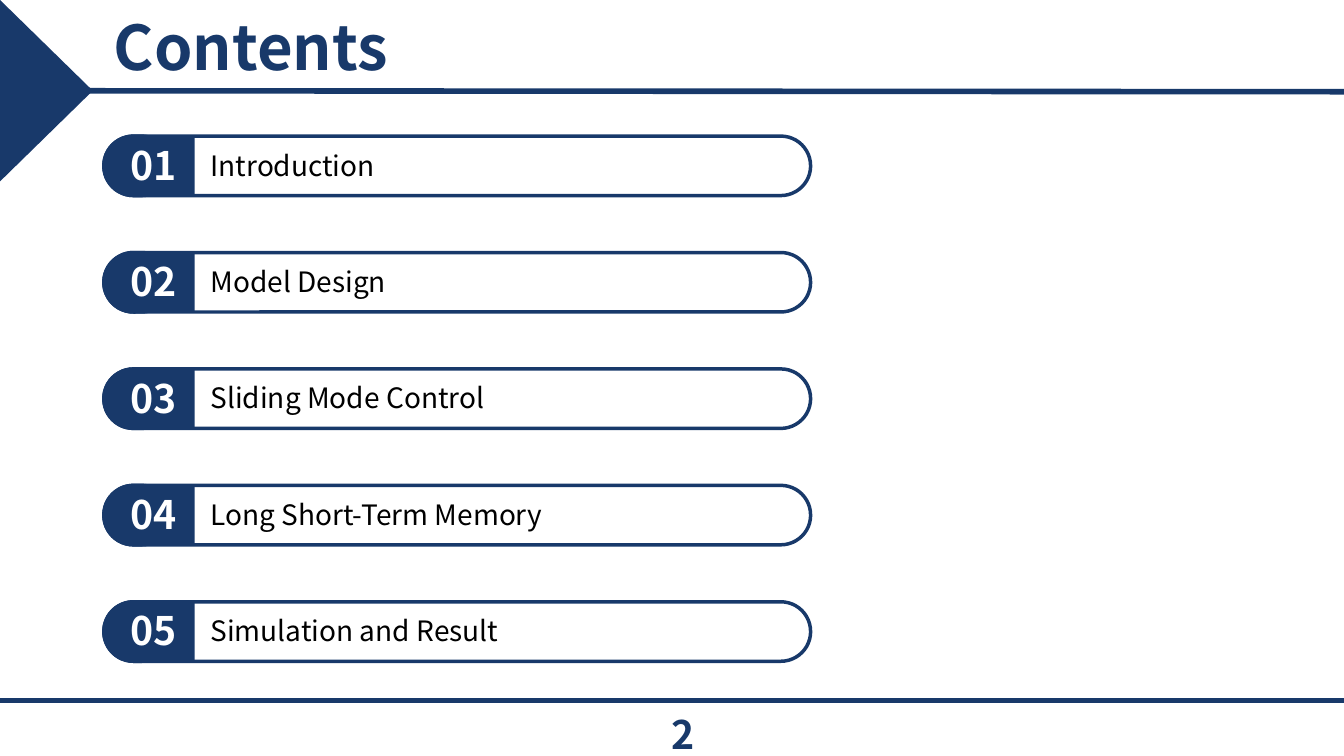
from lxml.etree import SubElement
from pptx import Presentation
from pptx.dml.color import RGBColor
from pptx.enum.shapes import MSO_CONNECTOR as Connector, MSO_SHAPE as Shape
from pptx.enum.text import MSO_ANCHOR as Anchor, MSO_AUTO_SIZE as AutoSize, PP_ALIGN as Align
from pptx.oxml.ns import qn
from pptx.util import Inches, Pt

NAVY = RGBColor(0x18, 0x39, 0x6A)
WHITE = RGBColor(0xFF, 0xFF, 0xFF)
BLACK = RGBColor(0x00, 0x00, 0x00)
FONT = "Noto Sans CJK KR"
PAGE_WIDTH, PAGE_HEIGHT = 13.33, 7.5

TOPICS = ["Introduction", "Model Design", "Sliding Mode Control",
          "Long Short-Term Memory", "Simulation and Result"]
FIRST_TOP, ROW_PITCH = 1.35, 1.155


def add_text(shapes, box, text, *, size, color=NAVY, bold=False, align=Align.LEFT,
             anchor=Anchor.TOP, wrap=True, grow=False, line_spacing=None):
    text_box = shapes.add_textbox(*map(Inches, box))
    frame = text_box.text_frame
    frame.word_wrap = wrap
    frame.vertical_anchor = anchor
    frame.auto_size = AutoSize.SHAPE_TO_FIT_TEXT if grow else AutoSize.NONE
    para = frame.paragraphs[0]
    para.alignment = align
    para.line_spacing = line_spacing
    span = para.add_run()
    span.text = text
    span.font.name = FONT
    span.font.size = Pt(size)
    span.font.bold = bold
    span.font.color.rgb = color
    fonts = span.font._element
    SubElement(fonts, qn("a:ea")).set("typeface", FONT)


def add_filled(shapes, kind, box, fill, outlined=False):
    shape = shapes.add_shape(kind, *map(Inches, box))
    shape.shadow.inherit = False
    shape.fill.solid()
    shape.fill.fore_color.rgb = fill
    if outlined:
        shape.line.color.rgb = NAVY
        shape.line.width = Pt(2.5)
    else:
        shape.line.fill.background()
    return shape


def add_rule(shapes, start_y, end_y):
    """Draw a navy line across the whole page."""
    rule = shapes.add_connector(Connector.STRAIGHT, Inches(0), Inches(start_y),
                                Inches(PAGE_WIDTH), Inches(end_y))
    rule.line.color.rgb = NAVY
    rule.line.width = Pt(4)
    SubElement(rule._element.spPr, qn("a:effectLst"))


def add_header(shapes, box, title):
    left, top, width, height = box
    wedge = add_filled(shapes, Shape.ISOSCELES_TRIANGLE,
                       (left - 0.44, top + 0.44, 1.8, 0.92), NAVY)
    wedge.rotation = 90
    add_rule(shapes, top + height, top + height + 0.01)
    add_text(shapes, (left + 1.03, top + 0.1, width - 1.83, height - 0.1), title,
             size=44, bold=True, anchor=Anchor.MIDDLE, line_spacing=0.9)


def add_footer(shapes, box, number):
    left, top, width, height = box
    add_rule(shapes, top, top)
    add_text(shapes, (left + 5.27, top + 0.13, 3, 0.4), str(number), size=28,
             bold=True, align=Align.CENTER, anchor=Anchor.MIDDLE)


def add_topic(page, box, number, topic):
    """Draw one pill with its number tab and topic, as a group."""
    left, top, width, height = box
    shapes = page.shapes.add_group_shape().shapes
    for pill_width, fill in ((width, WHITE), (0.67, NAVY)):
        pill = add_filled(shapes, Shape.ROUNDED_RECTANGLE,
                          (left, top, pill_width, height), fill, outlined=True)
        pill.adjustments[0] = 0.5
    add_filled(shapes, Shape.RECTANGLE, (left + 0.39, top, 0.51, height), NAVY)
    add_text(shapes, (left + 0.17, top, 0.66, 0.57), f"{number:02}", size=28,
             color=WHITE, bold=True, wrap=False, grow=True)
    add_text(shapes, (left + 0.96, top + 0.07, 6.14, 0.44), topic, size=20,
             color=BLACK, grow=True)


def add_contents_page(deck):
    page = deck.slides.add_slide(deck.slide_layouts[6])
    add_footer(page.shapes, (0, 6.95, PAGE_WIDTH, 0.55), 2)
    add_header(page.shapes, (0, 0, PAGE_WIDTH, 0.9), "Contents")
    for index, topic in enumerate(TOPICS):
        add_topic(page, (1.03, FIRST_TOP + index * ROW_PITCH, 7.01, 0.59), index + 1, topic)


def main():
    deck = Presentation()
    deck.slide_width = Inches(PAGE_WIDTH)
    deck.slide_height = Inches(PAGE_HEIGHT)
    add_contents_page(deck)
    deck.save("out.pptx")


if __name__ == "__main__":
    main()
